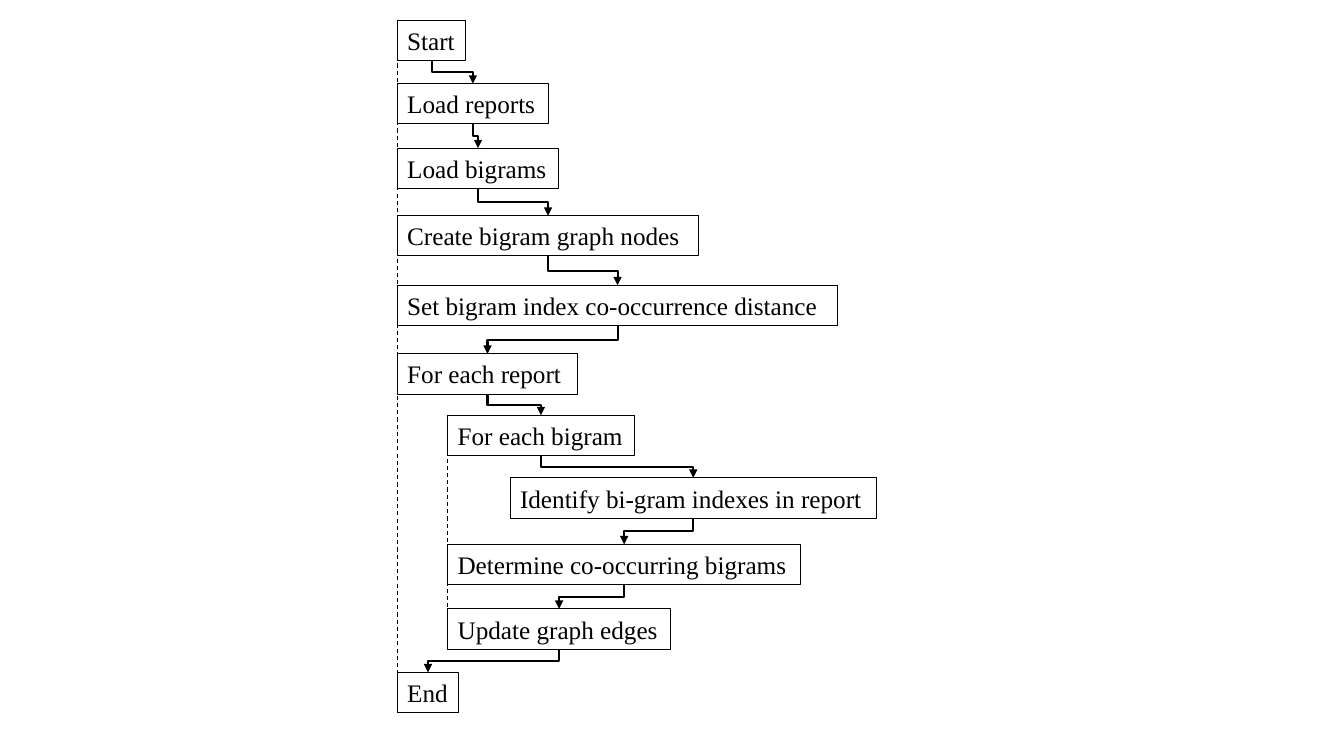
from dataclasses import dataclass
from itertools import pairwise

from lxml import etree
from pptx import Presentation
from pptx.dml.color import RGBColor
from pptx.enum.dml import MSO_LINE
from pptx.enum.shapes import MSO_CONNECTOR, MSO_SHAPE
from pptx.enum.text import MSO_ANCHOR, PP_ALIGN
from pptx.oxml.ns import qn
from pptx.util import Inches, Pt

RECTANGLE = MSO_SHAPE.RECTANGLE
STRAIGHT, ELBOW = MSO_CONNECTOR.STRAIGHT, MSO_CONNECTOR.ELBOW
DASH = MSO_LINE.DASH
LEFT, MIDDLE = PP_ALIGN.LEFT, MSO_ANCHOR.MIDDLE
TOP_SITE, BOTTOM_SITE = 0, 2


@dataclass(frozen=True)
class Theme:
    ink: RGBColor = RGBColor(0, 0, 0)
    font: str = "Times New Roman"
    text_size: Pt = Pt(18)
    thin: Pt = Pt(0.75)
    thick: Pt = Pt(1.5)


class FlowSlide:
    def __init__(self, slide, theme):
        self.shapes = slide.shapes
        self.theme = theme

    def set_line(self, line, width):
        line.color.rgb = self.theme.ink
        line.width = width

    def step(self, label, left, top, width):
        box = self.shapes.add_shape(RECTANGLE, Inches(left), Inches(top),
                                    Inches(width), Inches(STEP_HEIGHT))
        box.shadow.inherit = False
        box.fill.background()
        self.set_line(box.line, self.theme.thin)
        frame = box.text_frame
        frame_format = {"word_wrap": True, "vertical_anchor": MIDDLE,
                        "margin_left": Inches(0.1), "margin_right": 0}
        for name, value in frame_format.items():
            setattr(frame, name, value)
        paragraph = frame.paragraphs[0]
        paragraph.alignment = LEFT
        run = paragraph.add_run()
        run.text = label
        for name, value in {"name": self.theme.font, "size": self.theme.text_size}.items():
            setattr(run.font, name, value)
        run.font.color.rgb = self.theme.ink
        return box

    def connector(self, kind, ends, width):
        link = self.shapes.add_connector(kind, *ends)
        self.set_line(link.line, width)
        etree.SubElement(link.element.spPr, qn("a:effectLst"))
        return link

    def guide(self, x, top, bottom):
        ends = [Inches(value) for value in (x, top, x, bottom)]
        self.connector(STRAIGHT, ends, self.theme.thin).line.dash_style = DASH

    def arrow(self, upper, lower):
        start_x, end_x = (box.left + box.width // 2 for box in (upper, lower))
        start_y, end_y = upper.top + upper.height, lower.top
        link = self.connector(ELBOW, (start_x, start_y, end_x, end_y), self.theme.thick)
        link.begin_connect(upper, BOTTOM_SITE)
        link.end_connect(lower, TOP_SITE)

        # Turn the elbow so that it leaves downwards; its box is turned as well
        shift, drop = end_x - start_x, end_y - start_y
        geometry = {"left": (start_x + end_x - drop) // 2,
                    "top": (start_y + end_y - abs(shift)) // 2,
                    "width": drop, "height": abs(shift)}
        for name, value in geometry.items():
            setattr(link, name, value)
        rightward = shift > 0
        turn = {"rot": str((270 if rightward else 90) * 60000),
                "flipH": "1" if rightward else "0", "flipV": "0"}
        for name, value in turn.items():
            link.element.spPr.find(qn("a:xfrm")).set(name, value)
        outline = link.element.spPr.find(qn("a:ln"))
        etree.SubElement(outline, qn("a:tailEnd"), type="triangle")


STEP_HEIGHT = 0.4
OUTER, INNER, INNERMOST = 3.94, 4.44, 5.06

# Label, left, top, width
STEPS = [
    ("Start", OUTER, 0.2, 0.68),
    ("Load reports", OUTER, 0.83, 1.5),
    ("Load bigrams", OUTER, 1.47, 1.6),
    ("Create bigram graph nodes", OUTER, 2.14, 2.99),
    ("Set bigram index co-occurrence distance", OUTER, 2.83, 4.37),
    ("For each report", OUTER, 3.51, 1.79),
    ("For each bigram", INNER, 4.12, 1.85),
    ("Identify bi-gram indexes in report", INNERMOST, 4.74, 3.63),
    ("Determine co-occurring bigrams", INNER, 5.4, 3.5),
    ("Update graph edges", INNER, 6.04, 2.21),
    ("End", OUTER, 6.67, 0.61),
]

deck = Presentation()
deck.slide_width, deck.slide_height = Inches(13.33), Inches(7.5)
flow = FlowSlide(deck.slides.add_slide(deck.slide_layouts[6]), Theme())

# Steps and the arrows between them
boxes = [flow.step(*step) for step in STEPS]
for upper, lower in pairwise(boxes):
    flow.arrow(upper, lower)

# Dashed guides along each nesting level
for level in (OUTER, INNER):
    tops = [top for _, left, top, _ in STEPS if left == level]
    flow.guide(level, tops[0], tops[-1] + STEP_HEIGHT)

deck.save("out.pptx")
